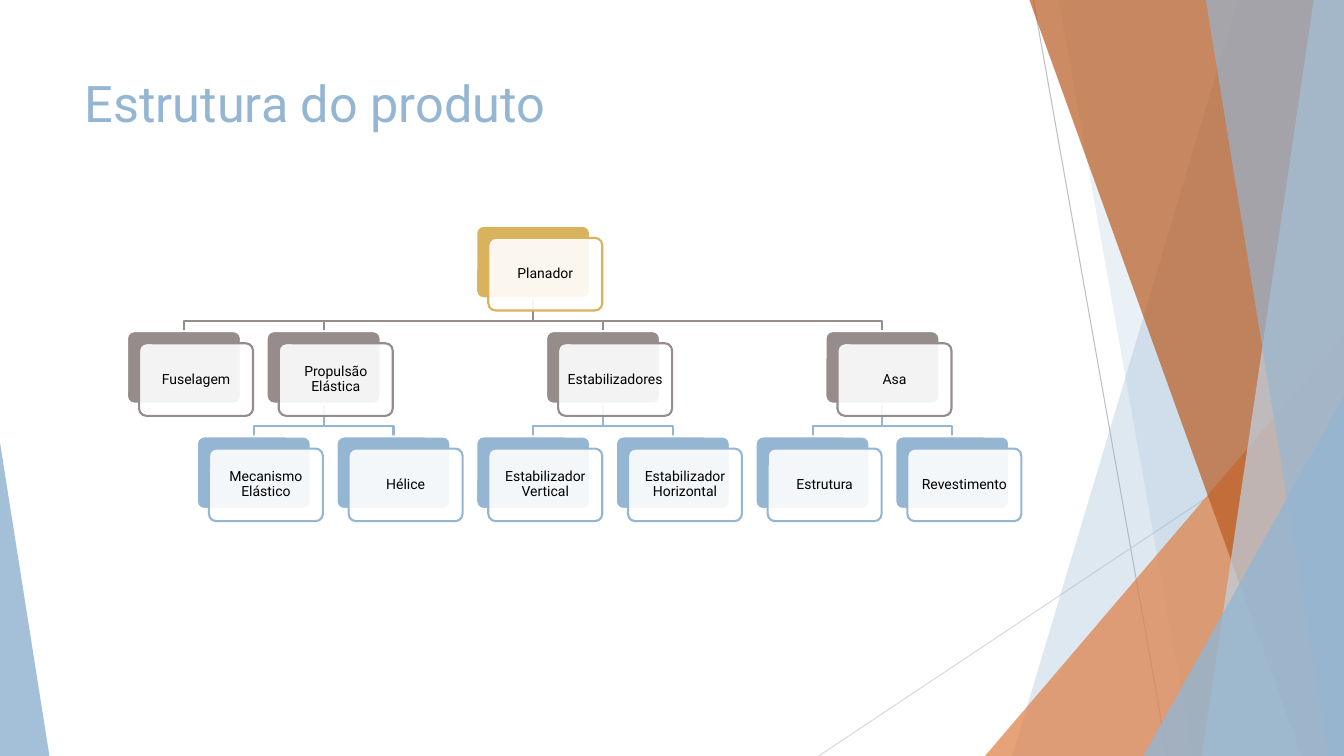
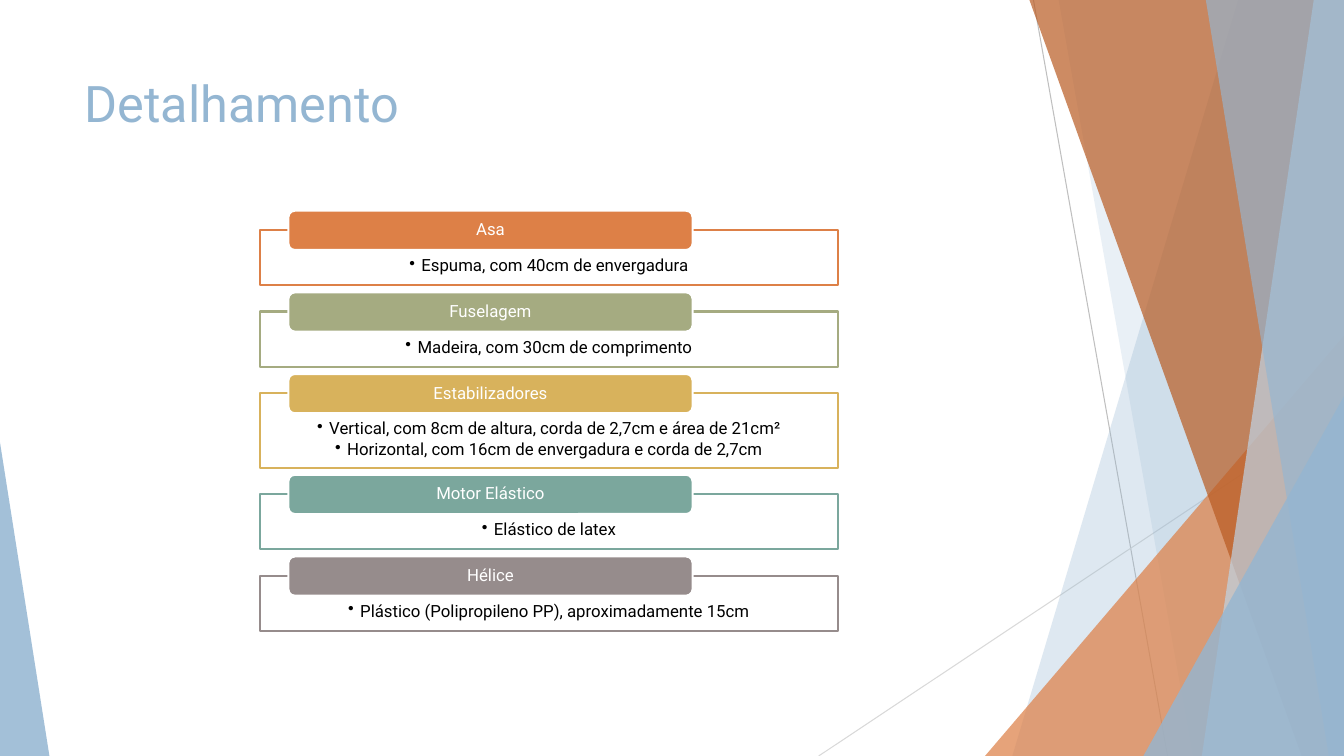
from lxml import etree
from pptx import Presentation
from pptx.dml.color import RGBColor
from pptx.enum import shapes, text
from pptx.oxml.ns import qn
from pptx.util import Inches, Pt

FONT = "Roboto"
BLUE, ORANGE, RUST, PALE = "94B6D2", "DD8047", "B95B22", "BFD3E4"
GOLD, GREY, GREEN, TEAL = "D8B25C", "968C8C", "A5AB81", "7BA79D"
BLACK, WHITE = "000000", "FFFFFF"
WIDTH, HEIGHT = 13.33, 7.5


def paint(shape, fill=None, line=None, opacity=100):
    """Set fill (with opacity in percent) and line; None means no paint."""
    shape.shadow.inherit = False
    if fill:
        shape.fill.solid()
        shape.fill.fore_color.rgb = RGBColor.from_string(fill)
        if opacity < 100:
            colour = shape.element.spPr.find(qn("a:solidFill"))[0]
            etree.SubElement(colour, qn("a:alpha")).set("val", str(opacity * 1000))
    else:
        shape.fill.background()
    if line:
        shape.line.color.rgb = RGBColor.from_string(line)
        shape.line.width = Pt(1.5)
    else:
        shape.line.fill.background()


def write(para, words, size, colour, align=text.PP_ALIGN.CENTER):
    para.alignment = align
    para.line_spacing = 0.9
    span = para.add_run()
    span.text = words
    span.font.name = FONT
    span.font.size = Pt(size)
    span.font.color.rgb = RGBColor.from_string(colour)


deck = Presentation()
deck.slide_width, deck.slide_height = Inches(WIDTH), Inches(HEIGHT)
layout = deck.slide_layouts.get_by_name("Title Only")
heading = layout.placeholders[0]
heading.left, heading.top = Inches(0.74), Inches(0.67)
heading.width, heading.height = Inches(9.4), Inches(1.44)

pages = []
for title in ("Estrutura do produto", "Detalhamento"):
    page = deck.slides.add_slide(layout)
    frame = page.shapes.title.text_frame
    frame.vertical_anchor = text.MSO_ANCHOR.TOP
    write(frame.paragraphs[0], title, 36, BLUE, text.PP_ALIGN.LEFT)
    frame.paragraphs[0].line_spacing = 1
    pages.append(page)
structure, details = pages

# Shared background: drawn once, then moved to the layout
backdrop = []
for x1, y1, x2, y2, colour in (
    (10.25, 0, 11.58, HEIGHT, "BFBFBF"),
    (WIDTH, 4.03, 8.12, HEIGHT, "D9D9D9"),
):
    ray = structure.shapes.add_connector(
        shapes.MSO_CONNECTOR.STRAIGHT, Inches(x1), Inches(y1), Inches(x2), Inches(y2))
    ray.line.color.rgb = RGBColor.from_string(colour)
    ray.line.width = Pt(0.75)
    etree.SubElement(ray.element.spPr, qn("a:effectLst"))
    backdrop.append(ray)

# A band has its top and bottom x; a triangle has left, top, width and apex
for geometry, colour, opacity in (
    ((12.28, 10.04), BLUE, 30),
    ((10.5, 11.83), BLUE, 20),
    ((9.77, 3.33, 3.56, 1), ORANGE, 72),
    ((10.21, 12.91), RUST, 70),
    ((13.03, 11.92), PALE, 70),
    ((11.96, 13.18), BLUE, 65),
    ((11.34, 3.93, 1.99, 1), BLUE, 80),
    ((0, 4.39, 0.49, 0), BLUE, 85),
):
    if len(geometry) == 2:
        top_x, bottom_x = geometry
        outline = structure.shapes.build_freeform(Inches(top_x), 0)
        outline.add_line_segments(
            [(Inches(x), Inches(y)) for x, y in
             ((WIDTH, 0), (WIDTH, HEIGHT), (bottom_x, HEIGHT))])
        facet = outline.convert_to_shape()
    else:
        left, top, width, apex = geometry
        facet = structure.shapes.add_shape(
            shapes.MSO_SHAPE.ISOSCELES_TRIANGLE,
            Inches(left), Inches(top), Inches(width), Inches(HEIGHT - top))
        facet.adjustments[0] = apex
    paint(facet, colour, opacity=opacity)
    backdrop.append(facet)

for position, item in enumerate(backdrop, start=2):
    layout.shapes.element.insert(position, item.element)

# Product tree: name, level, column in half steps, index of parent
tree = (
    ("Planador", 0, 5, None),
    ("Fuselagem", 1, 0, 0),
    ("Propulsão Elástica", 1, 2, 0),
    ("Mecanismo Elástico", 2, 1, 2),
    ("Hélice", 2, 3, 2),
    ("Estabilizadores", 1, 6, 0),
    ("Estabilizador Vertical", 2, 5, 5),
    ("Estabilizador Horizontal", 2, 7, 5),
    ("Asa", 1, 10, 0),
    ("Estrutura", 2, 9, 8),
    ("Revestimento", 2, 11, 8),
)
LEVEL_COLOURS = (GOLD, GREY, BLUE)
BOX_W, BOX_H, OFFSET = 1.13, 0.72, 0.12
COLUMN_STEP, LEVEL_STEP = (8.88 - 1.26) / 11, (4.33 - 2.24) / 2
corners = [(1.26 + column * COLUMN_STEP, 2.24 + level * LEVEL_STEP)
           for name, level, column, parent in tree]

for (name, level, column, parent), (x, y) in zip(tree, corners):
    if parent is None:
        continue
    parent_x, parent_y = corners[parent]
    start_x, end_x = parent_x + BOX_W / 2, x + BOX_W / 2
    start_y = parent_y + BOX_H
    bend_y = y - 0.1
    branch = structure.shapes.build_freeform(Inches(start_x), Inches(start_y))
    branch.add_line_segments(
        [(Inches(px), Inches(py)) for px, py in
         ((start_x, bend_y), (end_x, bend_y), (end_x, y))], close=False)
    paint(branch.convert_to_shape(), line=LEVEL_COLOURS[level])

for (name, level, column, parent), (x, y) in zip(tree, corners):
    colour = LEVEL_COLOURS[level]
    for shift, fill, line, opacity in ((0, colour, WHITE, 100), (OFFSET, WHITE, colour, 90)):
        box = structure.shapes.add_shape(
            shapes.MSO_SHAPE.ROUNDED_RECTANGLE,
            Inches(x + shift), Inches(y + shift), Inches(BOX_W), Inches(BOX_H))
        box.adjustments[0] = 0.1
        paint(box, fill, line, opacity)
    frame = box.text_frame
    frame.word_wrap = True
    frame.vertical_anchor = text.MSO_ANCHOR.MIDDLE
    frame.margin_left = frame.margin_right = Inches(0.05)
    write(frame.paragraphs[0], name, 10, BLACK)

# Details: one framed list with a label for each part
parts = (
    ("Asa", ORANGE, ["Espuma, com 40cm de envergadura"]),
    ("Fuselagem", GREEN, ["Madeira, com 30cm de comprimento"]),
    ("Estabilizadores", GOLD, [
        "Vertical, com 8cm de altura, corda de 2,7cm e área de 21cm²",
        "Horizontal, com 16cm de envergadura e corda de 2,7cm"]),
    ("Motor Elástico", TEAL, ["Elástico de latex"]),
    ("Hélice", GREY, ["Plástico (Polipropileno PP), aproximadamente 15cm"]),
)
top = 2.28
for name, colour, facts in parts:
    height = 0.36 + 0.19 * len(facts)
    box = details.shapes.add_shape(
        shapes.MSO_SHAPE.RECTANGLE, Inches(2.58), Inches(top), Inches(5.73), Inches(height))
    paint(box, WHITE, colour, 90)
    frame = box.text_frame
    frame.word_wrap = True
    frame.vertical_anchor = text.MSO_ANCHOR.TOP
    frame.margin_left = frame.margin_right = Inches(0.44)
    frame.margin_top, frame.margin_bottom = Inches(0.27), Inches(0.09)
    for index, fact in enumerate(facts):
        para = frame.add_paragraph() if index else frame.paragraphs[0]
        write(para, fact, 12, BLACK)
        para.space_after = Pt(1.8)
        properties = para._p.get_or_add_pPr()
        properties.set("marL", str(Inches(0.12)))
        properties.set("indent", str(-Inches(0.12)))
        etree.SubElement(properties, qn("a:buChar")).set("char", "•")

    label = details.shapes.add_shape(
        shapes.MSO_SHAPE.ROUNDED_RECTANGLE,
        Inches(2.86), Inches(top - 0.19), Inches(4.01), Inches(0.39))
    paint(label, colour, WHITE)
    label.text_frame.vertical_anchor = text.MSO_ANCHOR.MIDDLE
    label.text_frame.margin_top = label.text_frame.margin_bottom = 0
    write(label.text_frame.paragraphs[0], name, 12, WHITE)
    top += height + 0.26

deck.save("out.pptx")
